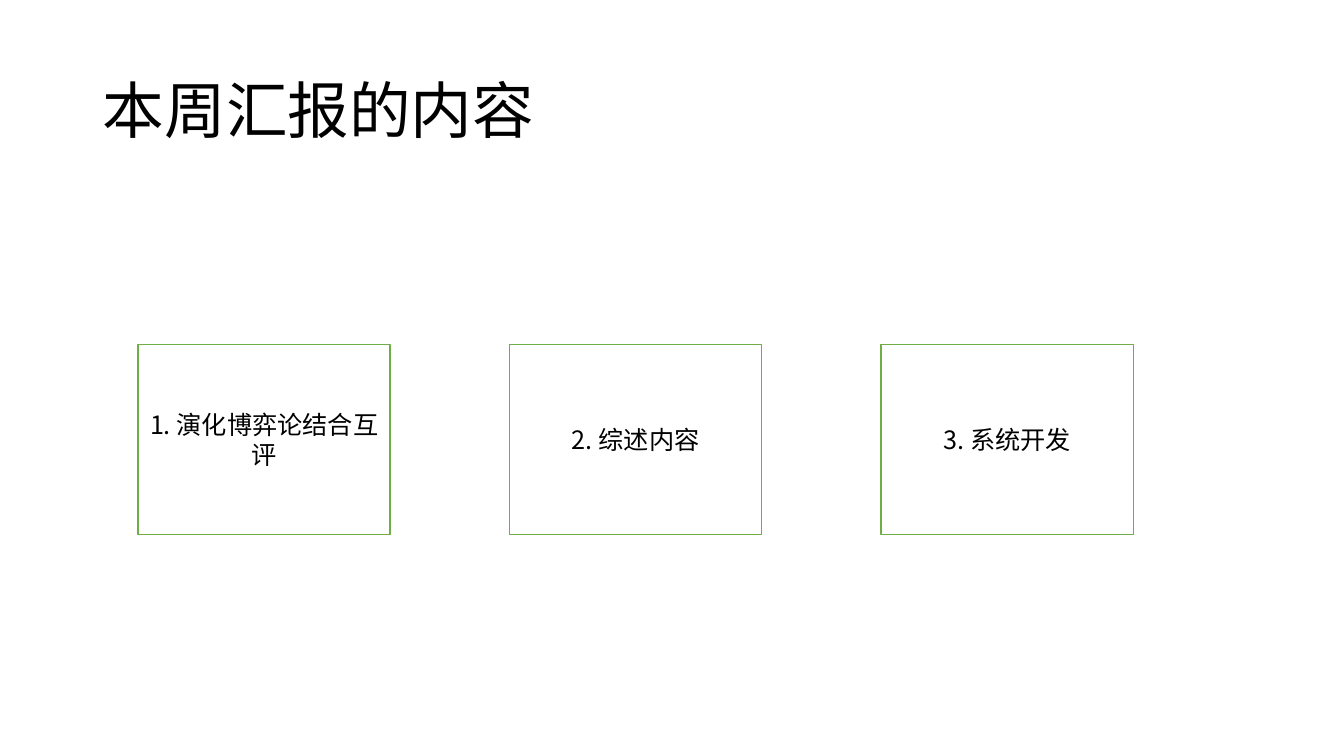
from lxml import etree
from pptx import Presentation
from pptx.dml.color import RGBColor
from pptx.enum.shapes import MSO_SHAPE
from pptx.enum.text import MSO_ANCHOR, MSO_AUTO_SIZE, PP_ALIGN
from pptx.oxml.ns import qn
from pptx.util import Inches, Pt

RECTANGLE = MSO_SHAPE.RECTANGLE
MIDDLE = MSO_ANCHOR.MIDDLE
NO_AUTOFIT = MSO_AUTO_SIZE.NONE
LEFT, CENTER = PP_ALIGN.LEFT, PP_ALIGN.CENTER
TITLE_ONLY = 5

FONT = "Noto Sans CJK SC"
COLORS = {"text": "000000", "box": "FFFFFF", "border": "70AD47"}
TOPICS = ["演化博弈论结合互评", "综述内容", "系统开发"]
BOX_LEFT, BOX_TOP, BOX_WIDTH, BOX_HEIGHT = 1.37, 3.42, 2.5, 1.88
BOX_STEP = 3.685


def color(name):
    return RGBColor.from_string(COLORS[name])


def set_attributes(target, values):
    for name, value in values.items():
        setattr(target, name, value)


def write_text(shape, text, size, alignment, line_spacing):
    frame = shape.text_frame
    set_attributes(frame, {
        "text": text,
        "word_wrap": True,
        "auto_size": NO_AUTOFIT,
        "vertical_anchor": MIDDLE,
    })
    paragraph = frame.paragraphs[0]
    set_attributes(paragraph, {"alignment": alignment, "line_spacing": line_spacing})
    font = paragraph.runs[0].font
    set_attributes(font, {"name": FONT, "size": Pt(size)})
    font.color.rgb = color("text")
    properties = paragraph.runs[0]._r.get_or_add_rPr()
    etree.SubElement(properties, qn("a:ea"), typeface=FONT)


def add_title(slide, text):
    title = slide.shapes.title
    set_attributes(title, {
        "left": Inches(0.92),
        "top": Inches(0.4),
        "width": Inches(11.5),
        "height": Inches(1.45),
    })
    write_text(title, text, 44, LEFT, 0.9)


def add_topic_box(slide, left, text):
    box = slide.shapes.add_shape(
        RECTANGLE, Inches(left), Inches(BOX_TOP), Inches(BOX_WIDTH), Inches(BOX_HEIGHT)
    )
    box.shadow.inherit = False
    box.fill.solid()
    box.fill.fore_color.rgb = color("box")
    box.line.color.rgb = color("border")
    box.line.width = Pt(1)
    write_text(box, text, 18, CENTER, 1.0)


def main():
    presentation = Presentation()
    set_attributes(presentation, {
        "slide_width": Inches(13.33),
        "slide_height": Inches(7.5),
    })
    slide = presentation.slides.add_slide(presentation.slide_layouts[TITLE_ONLY])
    add_title(slide, "本周汇报的内容")
    for index, topic in enumerate(TOPICS):
        add_topic_box(slide, BOX_LEFT + index * BOX_STEP, f"{index + 1}. {topic}")
    presentation.save("out.pptx")


if __name__ == "__main__":
    main()
